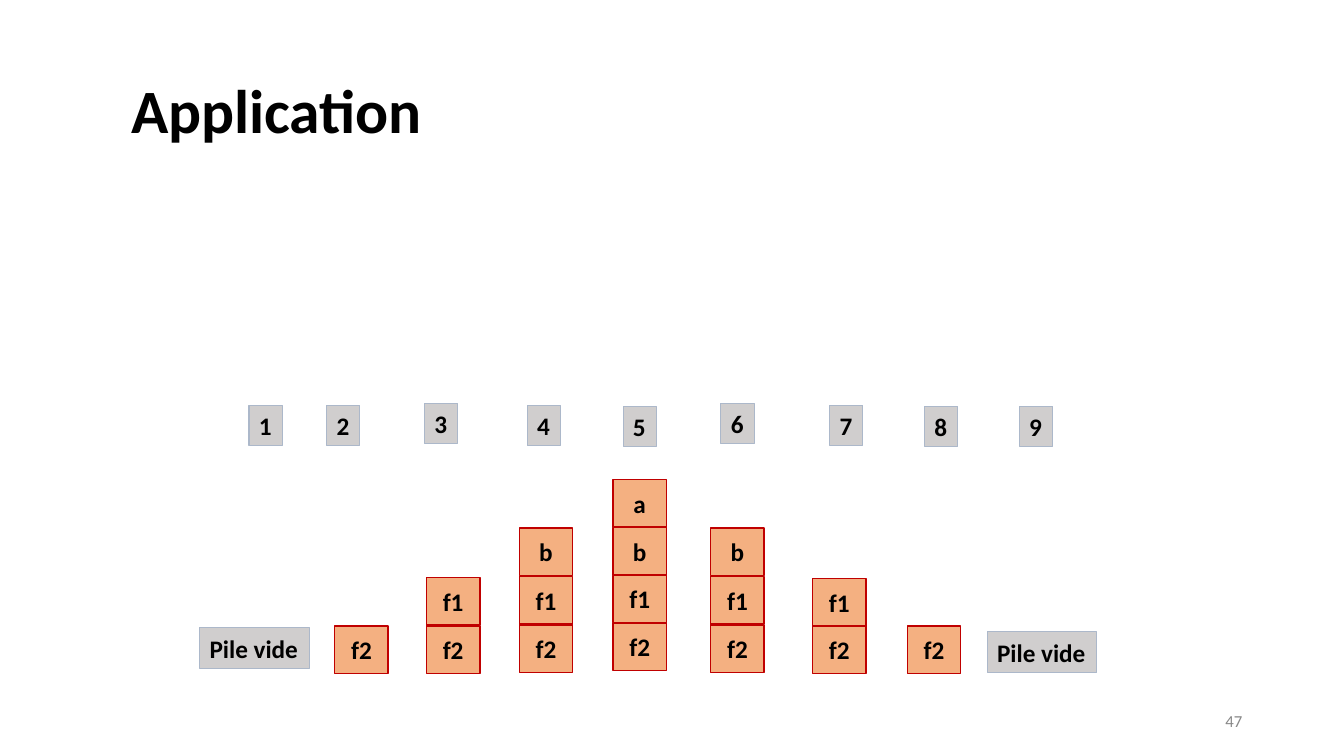
from dataclasses import dataclass

from pptx import Presentation
from pptx.dml.color import RGBColor
from pptx.enum.shapes import MSO_SHAPE
from pptx.enum.text import MSO_ANCHOR, MSO_AUTO_SIZE, PP_ALIGN
from pptx.shapes.autoshape import Shape
from pptx.slide import Slide
from pptx.text.text import TextFrame
from pptx.util import Emu, Pt

PX = 9144
FONT = "Calibri"
COLORS = {
    "cell": "F4B081",
    "cell_line": "C00000",
    "label": "D0CECE",
    "label_line": "ACB8CA",
    "text": "000000",
    "number": "888888",
}
CELL_WIDTH, CELL_HEIGHT = 53, 47
STEP_WIDTH, EMPTY_WIDTH, LABEL_HEIGHT = 33, 109, 40


@dataclass(frozen=True)
class Stack:
    left: int
    top: int
    base: int
    items: tuple[str, ...]


@dataclass(frozen=True)
class Label:
    text: str
    left: int
    top: int
    width: int = STEP_WIDTH


STACKS = (
    Stack(332, 621, 621, ("f2",)),
    Stack(423, 573, 621, ("f2", "f1")),
    Stack(515, 524, 620, ("f2", "f1", "b")),
    Stack(608, 476, 618, ("f2", "f1", "b", "a")),
    Stack(705, 524, 620, ("f2", "f1", "b")),
    Stack(806, 574, 621, ("f2", "f1")),
    Stack(900, 621, 621, ("f2",)),
)
STEP_POSITIONS = (
    (247, 402), (324, 402), (421, 400), (523, 402), (618, 403),
    (715, 400), (823, 402), (917, 403), (1011, 403),
)
STEPS = tuple(
    Label(str(step), left, top)
    for step, (left, top) in enumerate(STEP_POSITIONS, start=1)
)
EMPTY_STACKS = (
    Label("Pile vide", 198, 623, EMPTY_WIDTH),
    Label("Pile vide", 979, 627, EMPTY_WIDTH),
)


def px(length: float) -> Emu:
    return Emu(round(length * PX))


def rgb(name: str) -> RGBColor:
    return RGBColor.from_string(COLORS[name])


def write(frame: TextFrame, text: str, size: int, align: PP_ALIGN,
          color: str = "text", bold: bool = True) -> None:
    paragraph = frame.paragraphs[0]
    paragraph.alignment = align
    run = paragraph.add_run()
    run.text = text
    run.font.name = FONT
    run.font.size = Pt(size)
    run.font.bold = bold
    run.font.color.rgb = rgb(color)


def draw_box(slide: Slide, left: int, top: float, width: int, height: int,
             style: str, line_width: float) -> Shape:
    box = slide.shapes.add_shape(
        MSO_SHAPE.RECTANGLE, px(left), px(top), px(width), px(height))
    box.shadow.inherit = False
    box.fill.solid()
    box.fill.fore_color.rgb = rgb(style)
    box.line.color.rgb = rgb(f"{style}_line")
    box.line.width = Pt(line_width)
    return box


def draw_stack(slide: Slide, stack: Stack) -> None:
    pitch = (stack.base - stack.top) / max(len(stack.items) - 1, 1)
    for level, item in enumerate(stack.items):
        cell = draw_box(slide, stack.left, stack.base - level * pitch,
                        CELL_WIDTH, CELL_HEIGHT, "cell", 1)
        cell.text_frame.vertical_anchor = MSO_ANCHOR.MIDDLE
        write(cell.text_frame, item, 18, PP_ALIGN.CENTER)


def draw_label(slide: Slide, label: Label) -> None:
    box = draw_box(slide, label.left, label.top, label.width, LABEL_HEIGHT,
                   "label", 0.75)
    frame = box.text_frame
    frame.vertical_anchor = MSO_ANCHOR.TOP
    frame.word_wrap = False
    frame.auto_size = MSO_AUTO_SIZE.SHAPE_TO_FIT_TEXT
    write(frame, label.text, 18, PP_ALIGN.LEFT)


def add_text_area(slide: Slide, left: int, top: int,
                  width: int, height: int) -> TextFrame:
    frame = slide.shapes.add_textbox(
        px(left), px(top), px(width), px(height)).text_frame
    frame.word_wrap = True
    frame.vertical_anchor = MSO_ANCHOR.MIDDLE
    return frame


def main() -> None:
    presentation = Presentation()
    presentation.slide_width = px(1333)
    presentation.slide_height = px(750)
    slide = presentation.slides.add_slide(presentation.slide_layouts[6])

    for stack in STACKS:
        draw_stack(slide, stack)
    for label in EMPTY_STACKS + STEPS:
        draw_label(slide, label)

    title = add_text_area(slide, 92, 40, 1150, 145)
    title.margin_left = px(38)
    write(title, "Application", 44, PP_ALIGN.LEFT)
    title.paragraphs[0].line_spacing = 0.9

    slide_number = add_text_area(slide, 942, 695, 300, 40)
    write(slide_number, "47", 12, PP_ALIGN.RIGHT, "number", False)

    presentation.save("out.pptx")


if __name__ == "__main__":
    main()
